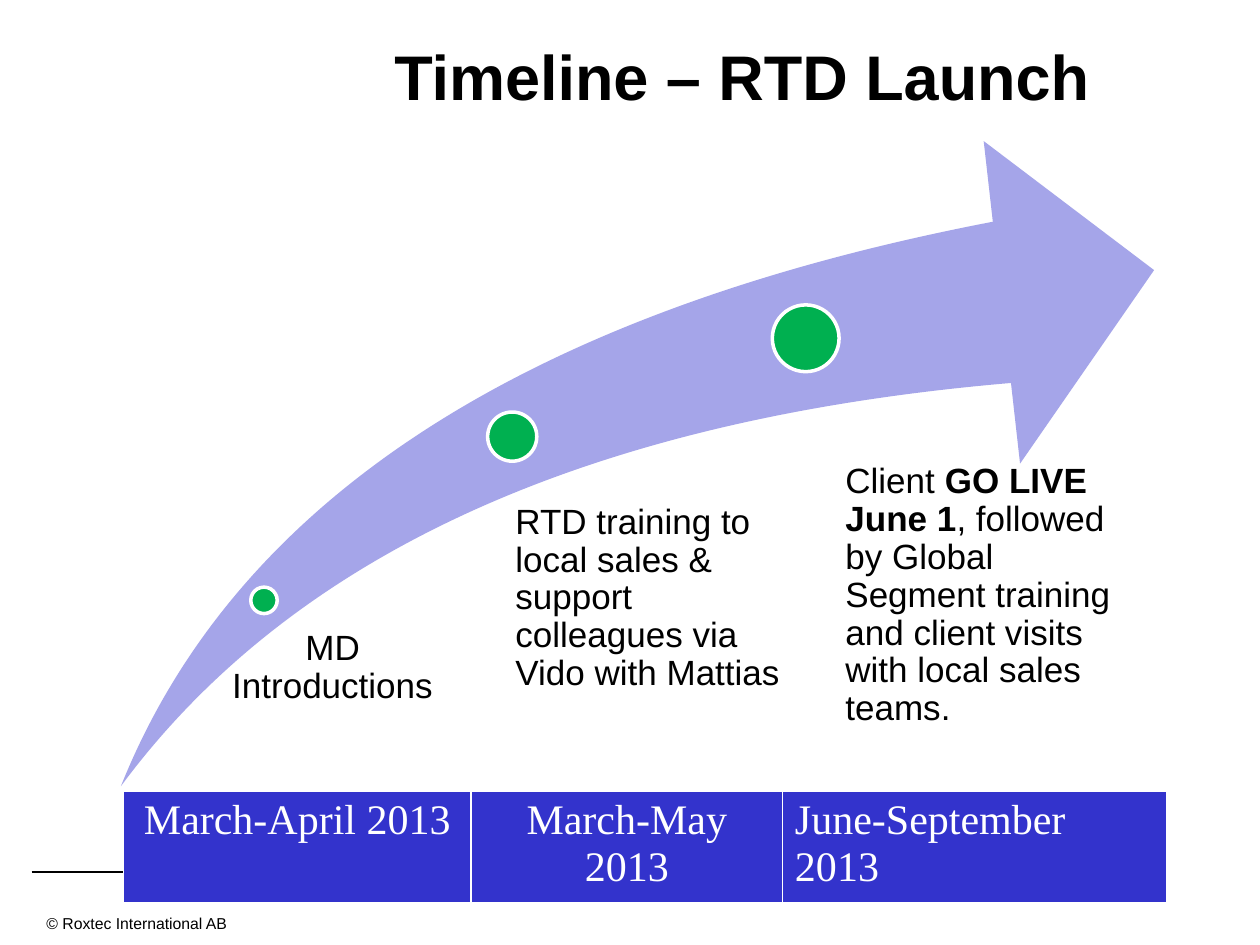
import pptx
import pptx.dml.color
import pptx.enum.shapes
import pptx.enum.text
import pptx.oxml
import pptx.oxml.ns
import pptx.util
import lxml.etree

Pt = pptx.util.Pt
ALIGN = pptx.enum.text.PP_ALIGN
SHAPE = pptx.enum.shapes.MSO_SHAPE
WHITE, BLACK, GREEN, LILAC, BLUE = "FFFFFF", "000000", "00B050", "A5A5E9", "3333CC"

deck = pptx.Presentation()
deck.slide_width = pptx.util.Inches(10)
deck.slide_height = pptx.util.Inches(7.5)
X = deck.slide_width / 100
Y = deck.slide_height / 100
slide = deck.slides.add_slide(deck.slide_layouts[5])
shapes = slide.shapes


def paint(target, colour):
    if hasattr(target, "solid"):
        target.solid()
        target = target.fore_color
    target.rgb = pptx.dml.color.RGBColor.from_string(colour)


def write(paragraph, text, size, face="Arial", colour=BLACK, bold=False):
    run = paragraph.add_run()
    run.text = text
    run.font.size = Pt(size)
    run.font.name = face
    run.font.bold = bold
    paint(run.font.color, colour)


title = shapes.title
title.left, title.top = int(22.5 * X), int(2.4 * Y)
title.width, title.height = int(72.8 * X), int(11.07 * Y)
title.text_frame.vertical_anchor = pptx.enum.text.MSO_ANCHOR.MIDDLE
heading = title.text_frame.paragraphs[0]
heading.alignment = ALIGN.CENTER
write(heading, "Timeline – RTD Launch", 36, bold=True)

footer_rule = shapes.add_connector(
    pptx.enum.shapes.MSO_CONNECTOR.STRAIGHT,
    int(2.5 * X), int(92.27 * Y), int(18.3 * X), int(92.27 * Y))
paint(footer_rule.line.fill, BLACK)
footer_rule.line.width = Pt(0.75)
lxml.etree.SubElement(footer_rule._element.spPr, pptx.oxml.ns.qn("a:effectLst"))

copyright_line = shapes.add_textbox(int(2.7 * X), int(96 * Y), int(16.5 * X), int(3.33 * Y))
copyright_line.text_frame.word_wrap = False
copyright_line.text_frame.auto_size = pptx.enum.text.MSO_AUTO_SIZE.SHAPE_TO_FIT_TEXT
write(copyright_line.text_frame.paragraphs[0], "© Roxtec International AB", 9)

swoosh = shapes.add_shape(
    SHAPE.SWOOSH_ARROW, int(9.6 * X), int(14.93 * Y), int(82 * X), int(68.27 * Y))
swoosh.adjustments[0] = swoosh.adjustments[1] = 0.25
swoosh.shadow.inherit = False
paint(swoosh.fill, LILAC)
swoosh.line.fill.background()

milestones = [
    ((19.9, 62.13, 2.1), (16.3, 66.67, 19.1, 9.33), 1.1, ALIGN.CENTER,
     [("MD Introductions", False)]),
    ((38.7, 43.6, 3.9), (38.9, 53.33, 23.2, 22.8), 2, ALIGN.LEFT,
     [("RTD training to local sales & support colleagues via Vido with Mattias", False)]),
    ((61.3, 32.27, 5.3), (64.3, 49.07, 25.7, 30), 2.8, ALIGN.LEFT,
     [("Client ", False), ("GO LIVE June 1", True),
      (", followed by Global Segment training and client visits with local sales teams.", False)]),
]
for (dot_x, dot_y, diameter), (x, y, w, h), indent, alignment, wording in milestones:
    dot = shapes.add_shape(
        SHAPE.OVAL, int(dot_x * X), int(dot_y * Y), int(diameter * X), int(diameter * X))
    dot.shadow.inherit = False
    paint(dot.fill, GREEN)
    paint(dot.line.fill, WHITE)
    dot.line.width = Pt(2)

    caption = shapes.add_textbox(int(x * X), int(y * Y), int(w * X), int(h * Y)).text_frame
    caption.word_wrap = True
    caption.margin_left = int(indent * X)
    caption.margin_top = caption.margin_right = caption.margin_bottom = 0
    step = caption.paragraphs[0]
    step.alignment = alignment
    step.line_spacing = 0.9
    step.space_after = Pt(7)
    for text, bold in wording:
        write(step, text, 20, bold=bold)

periods = [
    ("March-April 2013", 27.6, ALIGN.CENTER),
    ("March-May 2013", 24.7, ALIGN.CENTER),
    ("June-September 2013", 30.5, ALIGN.LEFT),
]
calendar = shapes.add_table(
    1, len(periods), int(9.8 * X), int(83.73 * Y), int(82.8 * X), int(5.47 * Y)).table
for column, (period, width, alignment) in enumerate(periods):
    calendar.columns[column].width = int(width * X)
    cell = calendar.cell(0, column)
    borders = cell._tc.get_or_add_tcPr()
    for side, points in (("L", 1), ("R", 1), ("T", 1), ("B", 3)):
        borders.append(pptx.oxml.parse_xml(
            f'<a:ln{side} {pptx.oxml.ns.nsdecls("a")} w="{Pt(points)}"><a:solidFill>'
            f'<a:srgbClr val="{WHITE}"/></a:solidFill></a:ln{side}>'))
    paint(cell.fill, BLUE)
    label = cell.text_frame.paragraphs[0]
    label.alignment = alignment
    write(label, period, 24, "Times New Roman", WHITE)

deck.save("out.pptx")
